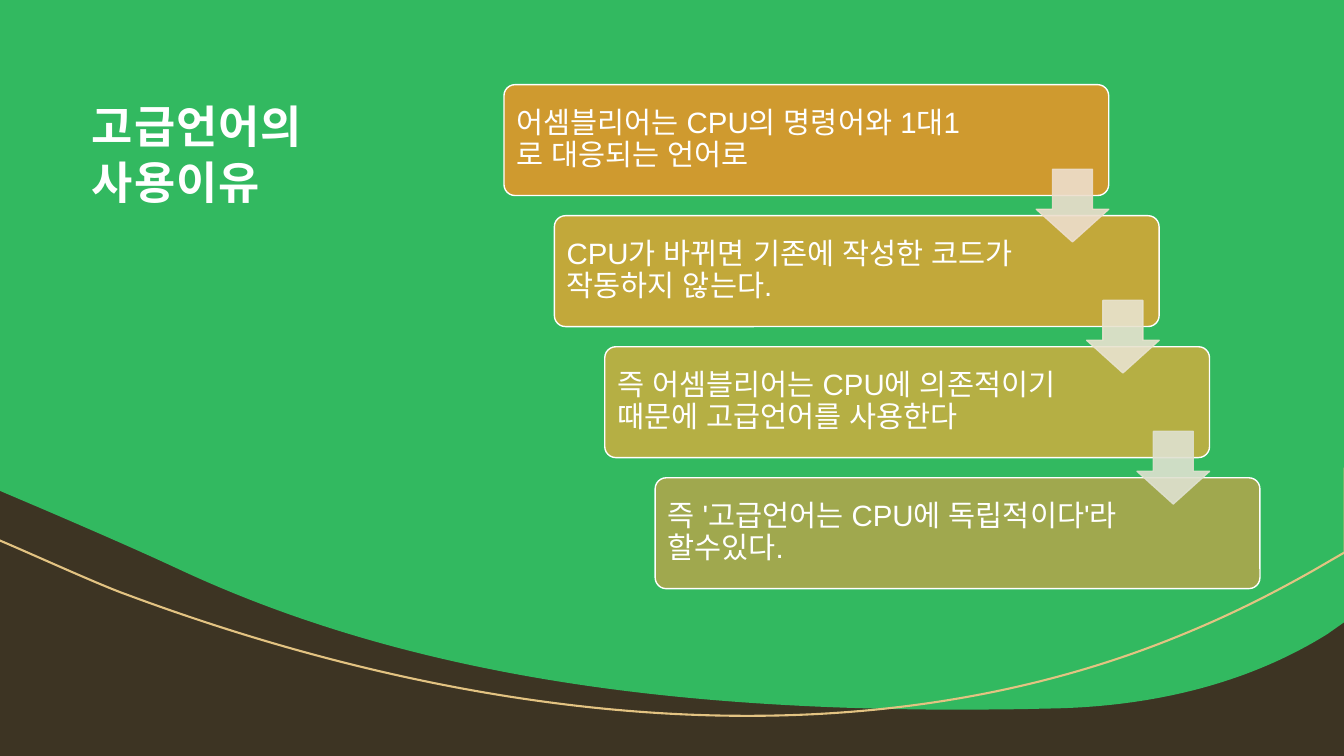
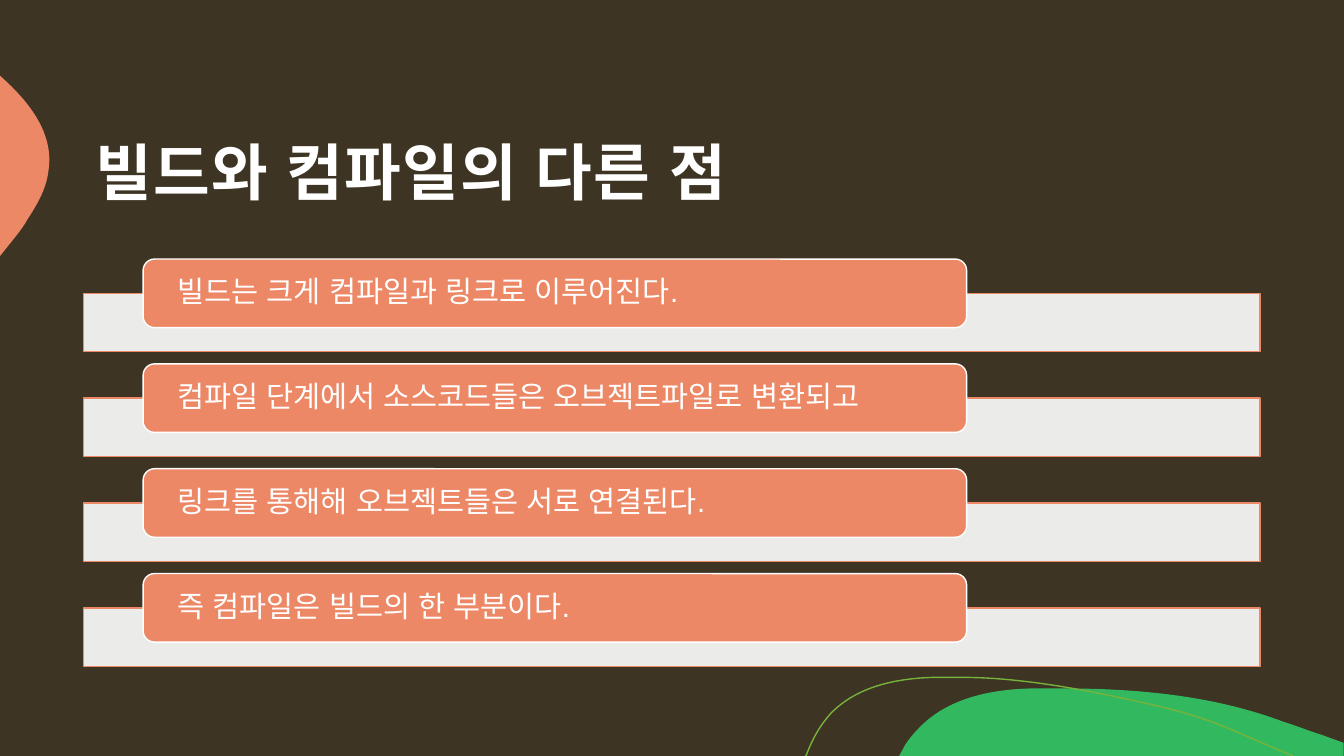
from lxml.etree import SubElement
from pptx import Presentation
from pptx.dml.color import RGBColor
from pptx.enum.shapes import MSO_SHAPE
from pptx.enum.text import MSO_ANCHOR, MSO_AUTO_SIZE, PP_ALIGN
from pptx.oxml.ns import qn
from pptx.util import Emu, Pt

SCALE = 9144  # EMU in one px, 100 px to the inch
FONT = "Arial"
DARK, GREEN, CORAL = "3D3423", "32B960", "ED8866"
LIME, GOLD, WHITE = "77B33C", "E3C382", "FFFFFF"

# Outlines: a start point, then lines (2 numbers) and curves (6 numbers)
WAVE = [(0, 0), (1334, 0), (1334, 617), (1317, 629),
        (1232, 682, 1133, 702, 1037, 703), (1002, 704, 966, 704, 930, 704),
        (677, 702, 414, 675, 178, 565), (135, 545, 91, 526, 47, 507),
        (0, 487)]
SWEEP = [(1334, 464), (1334, 548), (1303, 566),
         (1264, 588, 1220, 611, 1162, 634), (841, 762, 465, 716, 126, 590),
         (98, 580, 37, 552, -3, 535)]
HILL = [(1054, 683), (1128, 683, 1204, 690, 1273, 716),
        (1286, 720, 1298, 725, 1311, 729), (1333, 737), (1333, 750),
        (892, 750), (898, 739), (902, 733, 906, 728, 911, 723),
        (939, 693, 982, 684, 1023, 683), (1033, 683, 1043, 683, 1054, 683)]
BULGE = [(0, 75), (1, 76), (30, 102, 54, 133, 48, 170),
         (46, 187, 37, 203, 27, 218), (24, 224, 17, 233, 8, 244), (0, 254)]
ARC = [(799, 750), (800, 749), (806, 733, 814, 719, 824, 708),
       (850, 681, 889, 673, 926, 672), (955, 672),
       (1022, 672, 1100, 689, 1155, 702), (1209, 715, 1226, 727, 1283, 750)]

# Text and fills of the two lists
STEPS = [("어셈블리어는 CPU의 명령어와 1대1로 대응되는 언어로", "CF9A2F"),
         ("CPU가 바뀌면 기존에 작성한 코드가 작동하지 않는다.", "C2A83A"),
         ("즉 어셈블리어는 CPU에 의존적이기 때문에 고급언어를 사용한다", "B5AF44"),
         ("즉 '고급언어는 CPU에 독립적이다'라 할수있다.", "A0A84E")]
ARROWS = ["EDDECD", "E8E3CF", "DFE1D0"]
POINTS = ["빌드는 크게 컴파일과 링크로 이루어진다.",
          "컴파일 단계에서 소스코드들은 오브젝트파일로 변환되고",
          "링크를 통해해 오브젝트들은 서로 연결된다.",
          "즉 컴파일은 빌드의 한 부분이다."]


def px(num):
    return Emu(num * SCALE)


def rgb(code):
    return RGBColor.from_string(code)


def paint(shape, fill=None, line=None, width=1):
    shape.shadow.inherit = False
    if fill:
        shape.fill.solid()
        shape.fill.fore_color.rgb = rgb(fill)
    else:
        shape.fill.background()
    if line:
        shape.line.color.rgb = rgb(line)
        shape.line.width = Pt(width)
    else:
        shape.line.fill.background()


def fade(node):
    """Make the solid fill held by node 90 % opaque."""
    SubElement(node.find(qn("a:solidFill"))[0], qn("a:alpha"), val="90000")


def bend(shape, parts):
    """Turn the straight segments of the curved parts into curves."""
    track = next(shape.element.iter(qn("a:path")))
    for line, part in zip(track.findall(qn("a:lnTo")), parts):
        if len(part) == 2:
            continue
        curve = track.makeelement(qn("a:cubicBezTo"), {})
        for x, y in zip(part[::2], part[1::2]):
            SubElement(curve, qn("a:pt"), x=str(px(x) - shape.left),
                       y=str(px(y) - shape.top))
        track.replace(line, curve)


def outline(slide, points, fill=None, line=None, width=1):
    dots = [(px(part[-2]), px(part[-1])) for part in points]
    pen = slide.shapes.build_freeform(*dots[0], scale=1.0)
    pen.add_line_segments(dots[1:], close=bool(fill))
    shape = pen.convert_to_shape()
    bend(shape, points[1:])
    paint(shape, fill, line, width)
    return shape


def block(slide, kind, box, fill, line=None, adjust=()):
    shape = slide.shapes.add_shape(kind, *map(px, box))
    for index, value in enumerate(adjust):
        shape.adjustments[index] = value
    paint(shape, fill, line)
    return shape


def write(shape, text, size, insets, space, anchor=MSO_ANCHOR.MIDDLE):
    frame = shape.text_frame
    frame.text = text
    frame.word_wrap = True
    frame.auto_size = MSO_AUTO_SIZE.NONE
    frame.vertical_anchor = anchor
    (frame.margin_left, frame.margin_top,
     frame.margin_right, frame.margin_bottom) = map(px, insets)
    para = frame.paragraphs[0]
    para.alignment = PP_ALIGN.LEFT
    para.line_spacing = space
    run = para.runs[0]
    run.font.name, run.font.size = FONT, Pt(size)
    run.font.color.rgb = rgb(WHITE)
    # Korean letters and the blanks after them use the East Asian font
    props = run.font._element
    SubElement(props, qn("a:ea"), typeface=FONT)
    return run


def head(slide, text, box, size, anchor, right=12):
    title = slide.shapes.title
    title.left, title.top, title.width, title.height = map(px, box)
    run = write(title, text, size, (12, 12, right, 10), 1.05, anchor)
    run.font.bold = True
    run.font._element.set("spc", "70")
    # Bring the title in front of the outlines
    title.element.getparent().append(title.element)


def adorn(slide):
    """Put the outlines that all slides share on the slide's layout."""
    tree = slide.slide_layout.shapes.element if hasattr(
        slide.slide_layout.shapes, "element") else \
        slide.slide_layout.placeholders[0].element.getparent()
    shapes = [outline(slide, HILL, fill=GREEN),
              outline(slide, BULGE, fill=CORAL),
              outline(slide, ARC, line=LIME)]
    for index, shape in enumerate(shapes):
        shape.element.nvSpPr.cNvPr.set("id", str(100 + index))
        tree.append(shape.element)


def stairs(slide):
    for i, (text, fill) in enumerate(STEPS):
        step = block(slide, MSO_SHAPE.ROUNDED_RECTANGLE,
                     (500 + 50 * i, 84 + 130 * i, 600, 110), fill, WHITE, [0.1])
        write(step, text, 21, (9, 9, 131, 9), 0.9)
    for i, fill in enumerate(ARROWS):
        arrow = block(slide, MSO_SHAPE.DOWN_ARROW,
                      (1028 + 50 * i, 168 + 130 * i, 72, 72), fill, fill,
                      [0.55, 0.45])
        props = arrow.element.spPr
        fade(props)
        fade(props.find(qn("a:ln")))


def bars(slide):
    for i, text in enumerate(POINTS):
        top = 257 + 104 * i
        bar = block(slide, MSO_SHAPE.RECTANGLE, (83, top + 34, 1167, 58),
                    WHITE, CORAL)
        fade(bar.element.spPr)
        label = block(slide, MSO_SHAPE.ROUNDED_RECTANGLE,
                      (142, top, 817, 68), CORAL, WHITE)
        write(label, text, 21, (31, 0, 31, 0), 0.9)


def main():
    deck = Presentation()
    deck.slide_width, deck.slide_height = Emu(12192000), px(750)
    back = deck.slide_master.background.fill
    back.solid()
    back.fore_color.rgb = rgb(DARK)
    layout = deck.slide_layouts[5]

    # Reasons for high-level languages
    slide = deck.slides.add_slide(layout)
    adorn(slide)
    block(slide, MSO_SHAPE.RECTANGLE, (0, 0, 1334, 750), DARK)
    outline(slide, WAVE, fill=GREEN)
    outline(slide, SWEEP, line=GOLD, width=1.5)
    head(slide, "고급언어의 사용이유", (79, 83, 394, 250), 32,
         MSO_ANCHOR.TOP, right=150)
    stairs(slide)

    # Build against compile
    slide = deck.slides.add_slide(layout)
    head(slide, "빌드와 컴파일의 다른 점", (83, 83, 1167, 167), 44,
         MSO_ANCHOR.MIDDLE)
    bars(slide)

    deck.save("out.pptx")


if __name__ == "__main__":
    main()
